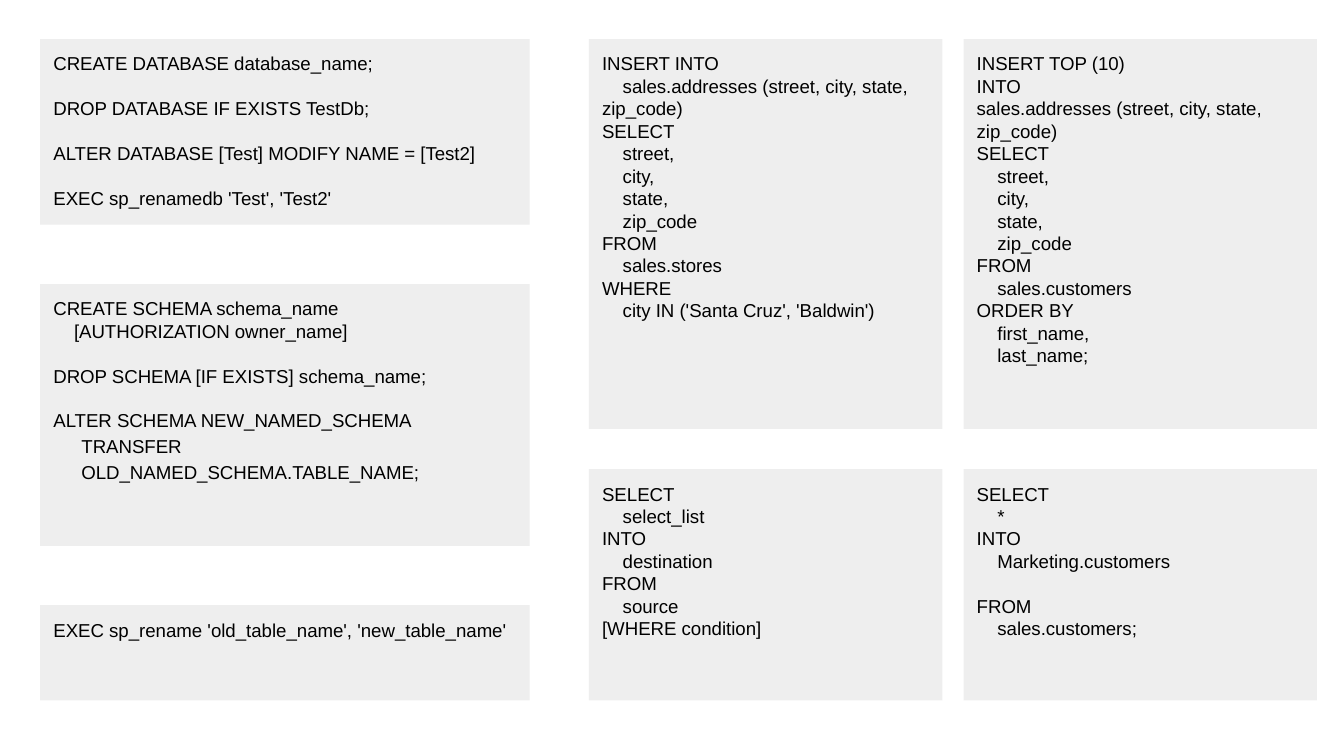
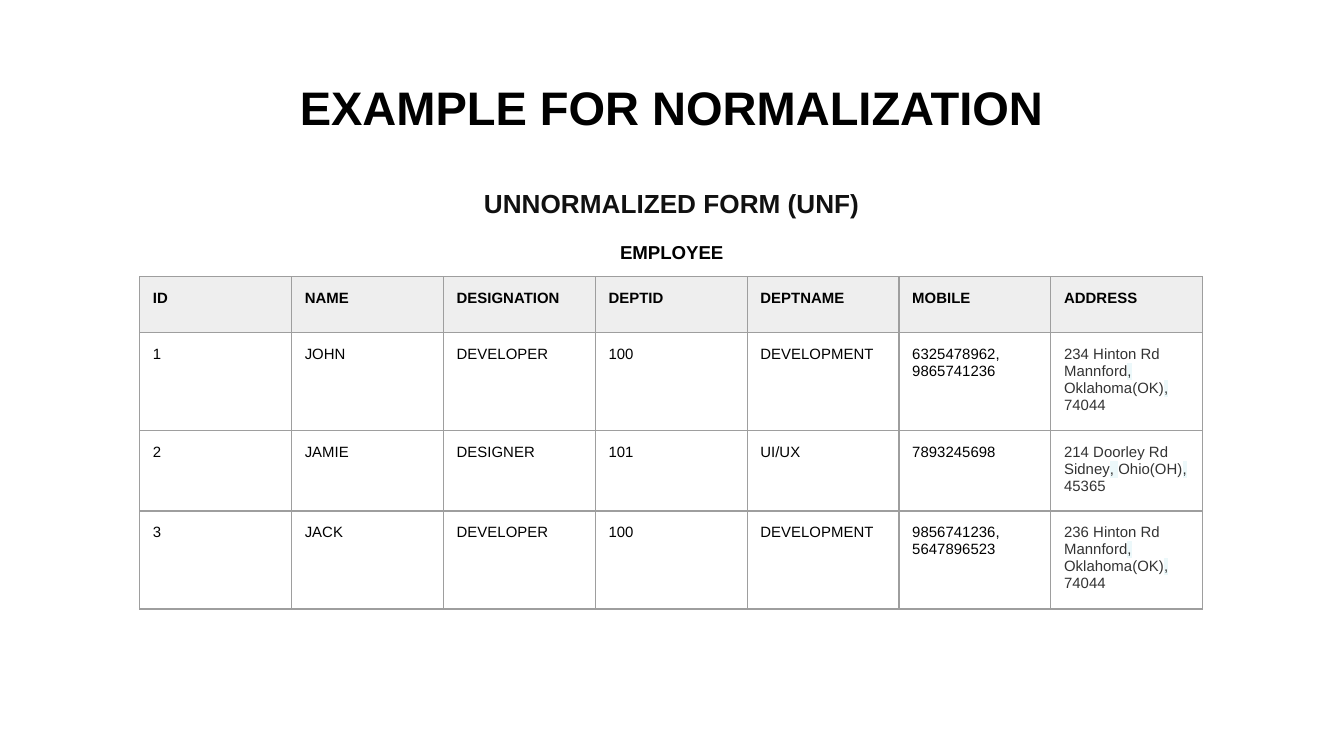
from lxml import etree
from pptx import Presentation
from pptx.dml.color import RGBColor
from pptx.enum.shapes import MSO_SHAPE as Preset
from pptx.enum.text import MSO_ANCHOR as Anchor, PP_ALIGN as Align
from pptx.oxml.ns import qn
from pptx.util import Cm, Pt

BLACK = RGBColor(0x00, 0x00, 0x00)
INK = RGBColor(0x11, 0x11, 0x11)
SLATE = RGBColor(0x33, 0x33, 0x33)
PANEL = RGBColor(0xEE, 0xEE, 0xEE)
BORDER = RGBColor(0x9E, 0x9E, 0x9E)
PALE_BLUE = RGBColor(0xEC, 0xF8, 0xFA)
WHITE = RGBColor(0xFF, 0xFF, 0xFF)

INSET = Cm(0.25)
CODE = {"size": Pt(10)}
CELL = {"size": Pt(8)}
CODE_LINE = Pt(12)
FIRST_LINE_INDENT = Cm(0.39)
CONTINUATION_INDENT = Cm(0.53)

# Statements: an indented line starts further in, a blank line opens a gap,
# and ">" marks a continuation that keeps its indent when it wraps.
DATABASE_CODE = """CREATE DATABASE database_name;

DROP DATABASE IF EXISTS TestDb;

ALTER DATABASE [Test] MODIFY NAME = [Test2]

EXEC sp_renamedb 'Test', 'Test2'"""

SCHEMA_CODE = """CREATE SCHEMA schema_name
    [AUTHORIZATION owner_name]

DROP SCHEMA [IF EXISTS] schema_name;

ALTER SCHEMA NEW_NAMED_SCHEMA
>TRANSFER OLD_NAMED_SCHEMA.TABLE_NAME;"""

RENAME_CODE = "EXEC sp_rename 'old_table_name', 'new_table_name'"

INSERT_CODE = """INSERT INTO
    sales.addresses (street, city, state, zip_code)
SELECT
    street,
    city,
    state,
    zip_code
FROM
    sales.stores
WHERE
    city IN ('Santa Cruz', 'Baldwin')"""

INSERT_TOP_CODE = """INSERT TOP (10)
INTO
sales.addresses (street, city, state, zip_code)
SELECT
    street,
    city,
    state,
    zip_code
FROM
    sales.customers
ORDER BY
    first_name,
    last_name;"""

SELECT_INTO_CODE = """SELECT
    select_list
INTO
    destination
FROM
    source
[WHERE condition]"""

COPY_TABLE_CODE = """SELECT
    *
INTO
    Marketing.customers

FROM
    sales.customers;"""

# Columns of panels: left, width, gap, then height and code of each panel
CODE_COLUMNS = [
    (0.76, 9.25, 1.12, [(3.51, DATABASE_CODE), (4.95, SCHEMA_CODE), (1.8, RENAME_CODE)]),
    (11.13, 6.68, 0.76, [(7.37, INSERT_CODE), (4.37, SELECT_INTO_CODE)]),
    (18.21, 6.68, 0.76, [(7.37, INSERT_TOP_CODE), (4.37, COPY_TABLE_CODE)]),
]
PANEL_TOP = 0.74

EMPLOYEE_ROWS = [
    ["ID", "NAME", "DESIGNATION", "DEPTID", "DEPTNAME", "MOBILE", "ADDRESS"],
    ["1", "JOHN", "DEVELOPER", "100", "DEVELOPMENT", "6325478962,\n9865741236",
     "234 Hinton Rd\nMannford, Oklahoma(OK), 74044"],
    ["2", "JAMIE", "DESIGNER", "101", "UI/UX", "7893245698",
     "214 Doorley Rd\nSidney, Ohio(OH), 45365"],
    ["3", "JACK", "DEVELOPER", "100", "DEVELOPMENT", "9856741236,\n5647896523",
     "236 Hinton Rd\nMannford, Oklahoma(OK), 74044"],
]


class Deck:
    """Holds the shared style and the slide being built."""

    font_name = "Arial"

    def __init__(self):
        self.presentation = Presentation()
        self.presentation.slide_width = Cm(25.4)
        self.presentation.slide_height = Cm(14.29)
        self.slide = None

    def new_slide(self):
        self.slide = self.presentation.slides.add_slide(self.presentation.slide_layouts[6])

    def set_frame(self, frame):
        values = {"word_wrap": True, "vertical_anchor": Anchor.TOP}
        for side in ("left", "right", "top", "bottom"):
            values[f"margin_{side}"] = INSET
        for name, value in values.items():
            setattr(frame, name, value)

    def add_run(self, paragraph, text, style, color=BLACK, highlight=None):
        run = paragraph.add_run()
        run.text = text
        for name, value in {"name": self.font_name, **style}.items():
            setattr(run.font, name, value)
        run.font.color.rgb = color
        if highlight is not None:
            mark = etree.Element(qn("a:highlight"))
            etree.SubElement(mark, qn("a:srgbClr"), val=str(highlight))
            run.font._element.find(qn("a:solidFill")).addnext(mark)

    def paragraph(self, frame, index, **layout):
        paragraph = frame.paragraphs[0] if index == 0 else frame.add_paragraph()
        for name, value in layout.items():
            setattr(paragraph, name, value)
        return paragraph

    def code_panel(self, left, top, width, height, code):
        shape = self.slide.shapes.add_shape(
            Preset.RECTANGLE, Cm(left), Cm(top), Cm(width), Cm(height))
        shape.shadow.inherit = False
        shape.fill.solid()
        shape.fill.fore_color.rgb = PANEL
        shape.line.fill.background()
        frame = shape.text_frame
        self.set_frame(frame)
        index, gap = 0, Pt(0)
        for line in code.split("\n"):
            if not line:
                gap = CODE_LINE
                continue
            paragraph = self.paragraph(frame, index, alignment=Align.LEFT, space_before=gap)
            properties = paragraph._p.get_or_add_pPr()
            if line.startswith(">"):
                properties.set("marL", str(CONTINUATION_INDENT))
                paragraph.line_spacing = 1.15
            elif line.startswith(" "):
                properties.set("indent", str(FIRST_LINE_INDENT))
            self.add_run(paragraph, line.lstrip(" >"), CODE)
            index, gap = index + 1, Pt(0)

    def headings(self, top, height, lines):
        box = self.slide.shapes.add_textbox(Cm(0.86), Cm(top), Cm(23.67), Cm(height))
        self.set_frame(box.text_frame)
        for index, (text, size, run_colors, layout) in enumerate(lines):
            paragraph = self.paragraph(box.text_frame, index, alignment=Align.CENTER, **layout)
            self.add_run(paragraph, text, {"size": Pt(size), "bold": True}, **run_colors)

    def cell_borders(self, cell):
        properties = cell._tc.get_or_add_tcPr()
        for position, side in enumerate(("lnL", "lnR", "lnT", "lnB")):
            line = etree.Element(qn(f"a:{side}"), w=str(Pt(0.75)))
            fill = etree.SubElement(line, qn("a:solidFill"))
            etree.SubElement(fill, qn("a:srgbClr"), val=str(BORDER))
            properties.insert(position, line)

    def fill_cell(self, cell, text, header, address):
        self.set_frame(cell.text_frame)
        for side in ("left", "right", "top", "bottom"):
            setattr(cell, f"margin_{side}", INSET)
        cell.vertical_anchor = Anchor.TOP
        if header:
            cell.fill.solid()
            cell.fill.fore_color.rgb = PANEL
        else:
            cell.fill.background()
        self.cell_borders(cell)
        style = {**CELL, "bold": header}
        color = SLATE if address else BLACK
        for index, line in enumerate(text.split("\n")):
            paragraph = self.paragraph(cell.text_frame, index)
            # The separators inside an address are tinted
            for position, part in enumerate(line.split(", ")):
                if position:
                    self.add_run(paragraph, ", ", style, color, PALE_BLUE)
                self.add_run(paragraph, part, style, color)

    def table(self, left, top, column_width, row_height, rows):
        row_count, column_count = len(rows), len(rows[0])
        table = self.slide.shapes.add_table(
            row_count, column_count, Cm(left), Cm(top),
            Cm(column_width * column_count), Cm(row_height * row_count)).table
        table.horz_banding = False
        table.first_row = False
        for column in table.columns:
            column.width = Cm(column_width)
        for row_index, row in enumerate(rows):
            table.rows[row_index].height = Cm(row_height)
            for column_index, text in enumerate(row):
                header = row_index == 0
                address = not header and column_index == column_count - 1
                self.fill_cell(table.cell(row_index, column_index), text, header, address)


def main():
    deck = Deck()

    # SQL statements
    deck.new_slide()
    for left, width, gap, panels in CODE_COLUMNS:
        top = PANEL_TOP
        for height, code in panels:
            deck.code_panel(left, top, width, height, code)
            top += height + gap

    # Unnormalized employee table
    deck.new_slide()
    deck.headings(1.24, 1.6, [("EXAMPLE FOR NORMALIZATION", 25.2, {}, {})])
    deck.headings(3.2, 9.5, [
        ("UNNORMALIZED FORM (UNF)", 14, {"color": INK, "highlight": WHITE},
         {"line_spacing": 1.15}),
        ("EMPLOYEE", 10, {}, {"space_before": Pt(12)}),
    ])
    deck.table(2.64, 5.23, 2.87, 1.06, EMPLOYEE_ROWS)

    deck.presentation.save("out.pptx")


if __name__ == "__main__":
    main()
